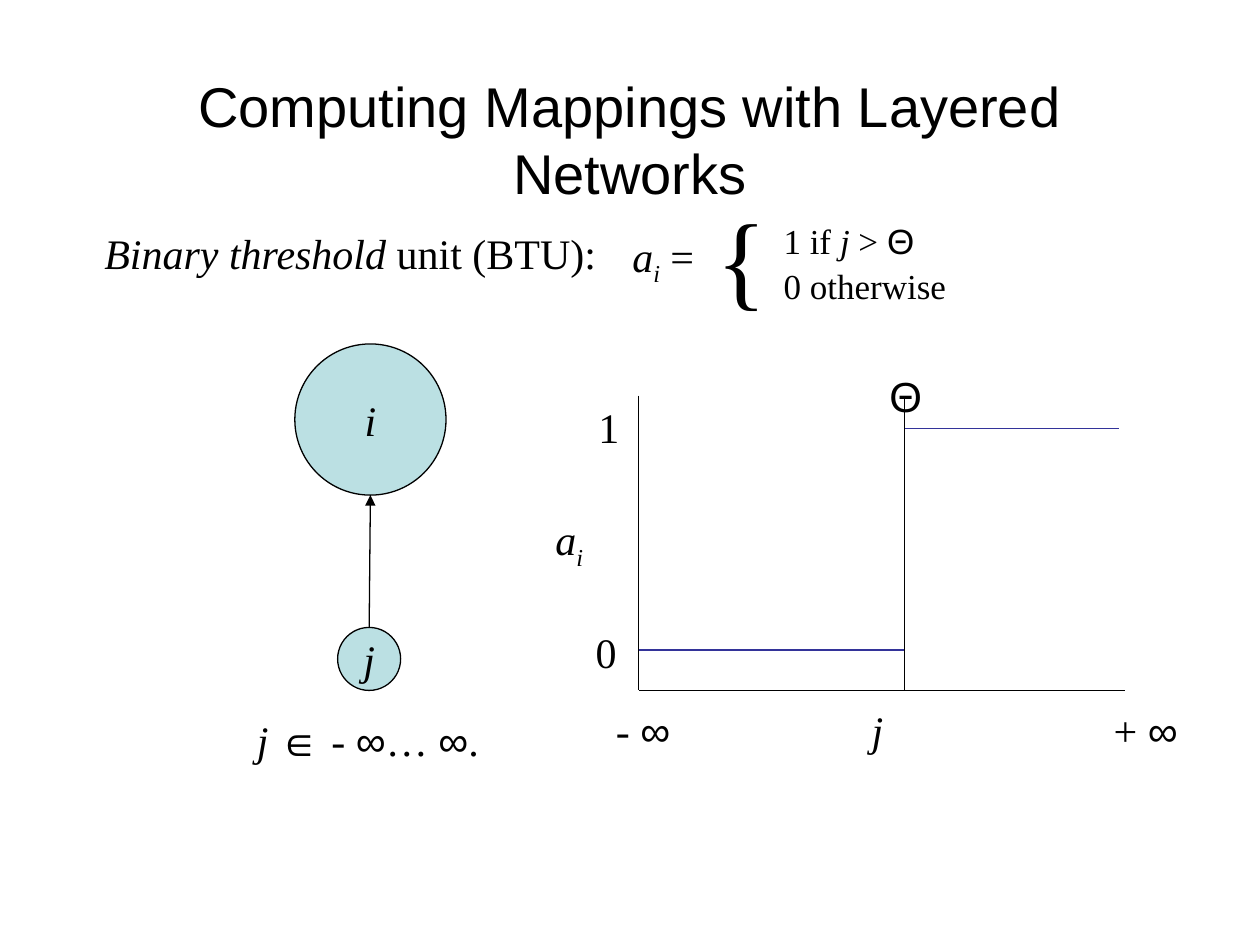
"""Build a slide on the binary threshold unit and its step function."""
from lxml import etree
from pptx import Presentation
from pptx.dml.color import RGBColor
from pptx.enum import shapes, text
from pptx.oxml import ns
from pptx.util import Inches, Pt

HUES = {"ink": "000000", "node": "BBE0E3", "step": "333399"}


def write(para, runs, size=24):
    for words, style in runs:
        run = para.add_run()
        run.text = words
        font = run.font
        font.size = Pt(size)
        font.name = "Arial" if "A" in style else "Times New Roman"
        font.italic = "i" in style
        font.color.rgb = RGBColor.from_string(HUES["ink"])
        if "s" in style:
            run._r.get_or_add_rPr().set("baseline", "-25000")


def draw(start, end, hue="ink"):
    ends = [Inches(n) for n in (*start, *end)]
    line = slide.shapes.add_connector(shapes.MSO_CONNECTOR.STRAIGHT, *ends)
    line.line.color.rgb = RGBColor.from_string(HUES[hue])
    line.line.width = Pt(0.75)
    etree.SubElement(line._element.spPr, ns.qn("a:effectLst"))
    return line


deck = Presentation()
deck.slide_width, deck.slide_height = Inches(10), Inches(7.5)
slide = deck.slides.add_slide(deck.slide_layouts[6])

nodes = {}
for name, left, top, side in [("i", 2.34, 2.73, 1.2), ("j", 2.68, 4.98, 0.5)]:
    node = slide.shapes.add_shape(
        shapes.MSO_SHAPE.OVAL, Inches(left), Inches(top), Inches(side), Inches(side))
    node.shadow.inherit = False
    node.fill.solid()
    node.fill.fore_color.rgb = RGBColor.from_string(HUES["node"])
    node.line.color.rgb = RGBColor.from_string(HUES["ink"])
    node.line.width = Pt(0.75)
    frame = node.text_frame
    frame.word_wrap = False
    frame.vertical_anchor = text.MSO_ANCHOR.MIDDLE
    frame.paragraphs[0].alignment = text.PP_ALIGN.CENTER
    write(frame.paragraphs[0], [(name, "i")])
    nodes[name] = node

arrow = draw((2.93, 4.98), (2.94, 3.93))
arrow.begin_connect(nodes["j"], 0)
etree.SubElement(arrow.line._get_or_add_ln(), ns.qn("a:tailEnd"), type="triangle")

x0, xt, top, base, low, high = 5.07, 7.18, 3.14, 5.48, 5.16, 3.4
draw((x0, top), (x0, base))
draw((x0, base), (8.93, base))
curve = [(x0, low), (xt, low), (xt, high), (8.88, high)]
for start, end in zip(curve, curve[1:]):
    draw(start, end, "step")
draw((xt, base), (xt, top))

title = [("Computing Mappings with Layered Networks", "A")]
span = [("j ", "i"), ("∈", "A"), (" - ", ""), ("∞", "A"), ("… ", ""), ("∞", "A"), (".", "")]
rule = [("1 if ", ""), ("j", "i"), (" > ", ""), ("Θ", "A")]
unit = [("Binary threshold", "i"), (" unit (BTU):", "")]
act = [("a", "i"), ("i", "is")]
boxes = [
    (0.75, 0.67, 8.5, 0.86, 32, [title]),
    (0.73, 1.76, 4.23, 0.5, 24, [unit]),
    (4.92, 1.78, 0.73, 0.56, 24, [act + [(" =", "")]]),
    (5.59, 1.48, 0.31, 1.1, 60, [[("{", "")]]),
    (6.12, 1.69, 1.58, 0.78, 20, [rule, [("0 otherwise", "")]]),
    (1.94, 5.62, 2.04, 0.5, 24, [span]),
    (4.63, 4.92, 0.36, 0.5, 24, [[("0", "")]]),
    (4.65, 3.14, 0.36, 0.5, 24, [[("1", "")]]),
    (4.31, 4.03, 0.47, 0.56, 24, [act]),
    (4.79, 5.54, 0.64, 0.5, 24, [[("- ", ""), ("∞", "A")]]),
    (6.82, 5.54, 0.42, 0.5, 24, [[("j", "i")]]),
    (8.74, 5.54, 0.72, 0.5, 24, [[("+ ", ""), ("∞", "A")]]),
    (6.96, 2.89, 0.5, 0.5, 24, [[("Θ", "A")]]),
]
for left, top, wide, high, size, lines in boxes:
    box = slide.shapes.add_textbox(
        Inches(left), Inches(top), Inches(wide), Inches(high))
    frame = box.text_frame
    frame.word_wrap = wide > 1 or lines[0][0][0] not in ("0", "1", "- ", "+ ")
    for spot, runs in enumerate(lines):
        para = frame.add_paragraph() if spot else frame.paragraphs[0]
        if spot:
            para.space_before = Pt(12.5)
            para.line_spacing = 0.5
        write(para, runs, size)
        if runs is title:
            para.alignment = text.PP_ALIGN.CENTER
            frame.vertical_anchor = text.MSO_ANCHOR.MIDDLE

deck.save("out.pptx")
